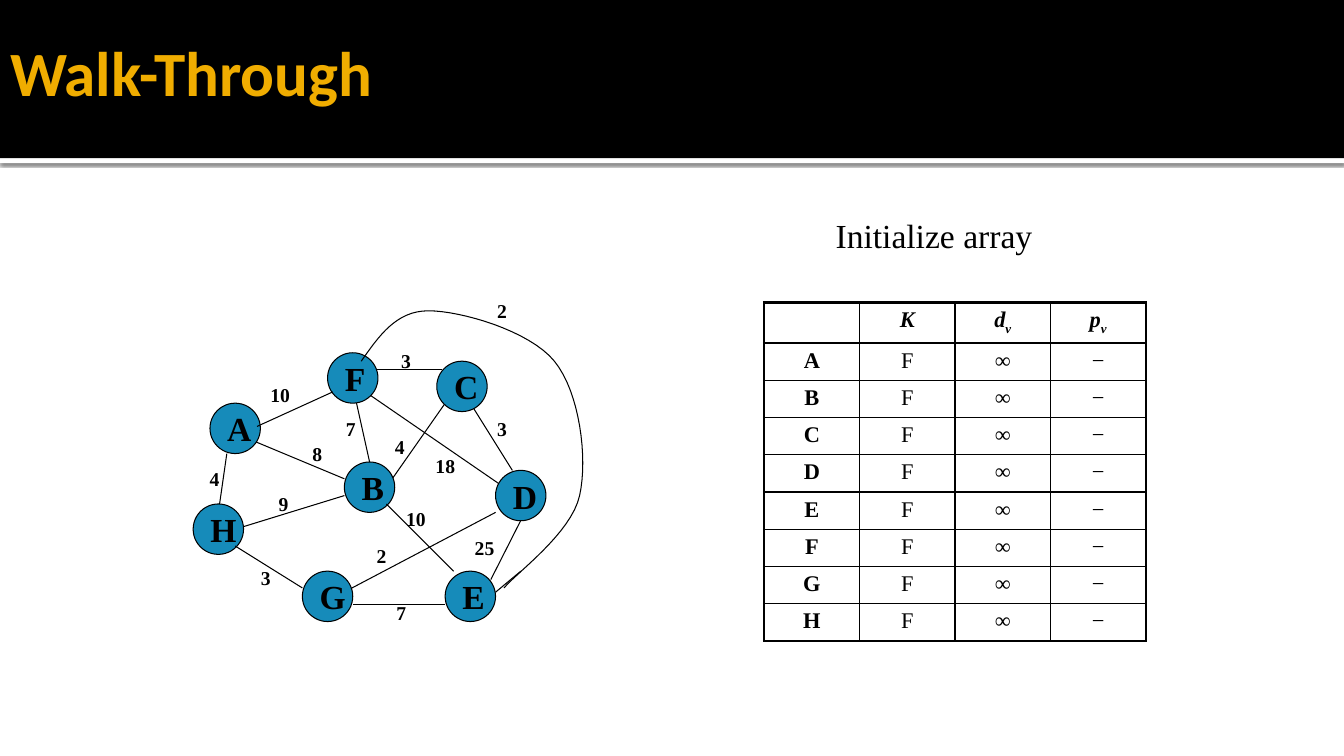
from dataclasses import dataclass
from typing import NamedTuple

from lxml.etree import SubElement
from pptx import Presentation
from pptx.dml.color import RGBColor
from pptx.enum.shapes import MSO_CONNECTOR, MSO_SHAPE
from pptx.enum.text import MSO_ANCHOR, MSO_AUTO_SIZE, PP_ALIGN
from pptx.oxml.ns import qn
from pptx.util import Pt


@dataclass(frozen=True)
class Theme:
    black: RGBColor = RGBColor(0x00, 0x00, 0x00)
    white: RGBColor = RGBColor(0xFF, 0xFF, 0xFF)
    gold: RGBColor = RGBColor(0xF0, 0xAD, 0x00)
    node: RGBColor = RGBColor(0x16, 0x8B, 0xBA)
    heading_font: str = "Calibri"
    body_font: str = "Times New Roman"
    title_size: float = 45
    body_size: float = 24
    cell_size: float = 16
    weight_size: float = 14
    edge_width: float = 0.75
    inner_border: float = 1
    outer_border: float = 2.25


class Box(NamedTuple):
    left: float
    top: float
    width: float
    height: float

    def inside(self, left, top, width, height):
        """Return the Pt lengths of a part placed relative to this box."""
        return Pt(self.left + left), Pt(self.top + top), Pt(width), Pt(height)

    def point(self, x, y):
        return Pt(self.left + x), Pt(self.top + y)


THEME = Theme()
NODE_SIZE = 36
NODES = {"A": (12, 78), "H": (0, 150), "B": (108, 120), "F": (96, 42),
         "E": (180, 198), "D": (216, 126), "C": (174, 48), "G": (78, 198)}
# Each edge: start, end, weight, place of the weight
EDGES_BEHIND_NODES = [
    ((243, 144), (212.6, 204), "25", (194, 169.4)),
    ((114, 66), (126, 120), "7", (102, 84)),
    ((138, 138), (180, 78), "4", (137, 97.4)),
    ((222, 138), (126, 72), "18", (166, 111)),
    ((30, 168), (108, 144), "9", (54, 138)),
    ((102, 216), (216, 156), "2", (124, 175)),
    ((18, 156), (24, 114), "4", (4.6, 120)),
    ((36, 102), (108, 132), "8", (78, 102)),
    ((130, 54), (177.4, 54), "3", (141.4, 36)),
    ((198, 78), (228, 126), "3", (210, 84)),
]
EDGES_OVER_NODES = [
    ((138, 150), (186, 198), "10", (145, 148.6)),
    ((180, 222), (114, 222), "7", (138, 216)),
    ((78, 210), (30, 180), "3", (41.3, 191)),
    ((45.6, 94.6), (99.6, 70), "10", (48, 60)),
    ((234, 198), (216, 213), "2", (210, 0)),
]
ARC_START = (120, 48)
ARC_CURVES = [((132.7, 30), (145, 12), (168, 12)),
              ((191, 12), (240, 26), (258, 48)),
              ((276, 70), (282, 117), (276, 144)),
              ((270, 171), (231, 199), (222, 210))]
CURVE_STEPS = 16


def write_text(para, text, size, font=THEME.body_font, color=THEME.black,
               bold=False, italic=False, subscript=False, align=PP_ALIGN.LEFT):
    para.alignment = align
    span = para.add_run()
    span.text = text
    span.font.size = Pt(size)
    span.font.name = font
    span.font.color.rgb = color
    span.font.bold = bold
    span.font.italic = italic
    if subscript:
        span.font._element.set("baseline", "-25000")


def add_text(shapes, place, text, size, **text_format):
    frame = shapes.add_textbox(*place).text_frame
    frame.word_wrap = True
    write_text(frame.paragraphs[0], text, size, **text_format)


def add_band(slide, place, color):
    """Add a plain band behind the title."""
    band = slide.shapes.add_shape(MSO_SHAPE.RECTANGLE, *place)
    band.fill.solid()
    band.fill.fore_color.rgb = color
    band.line.fill.background()
    band.shadow.inherit = False
    slide.shapes.title.element.addprevious(band.element)
    return band


def add_soft_shadow(shape):
    effects = shape.element.spPr.find(qn("a:effectLst"))
    shadow = SubElement(effects, qn("a:outerShdw"), blurRad=str(Pt(2.5)),
                        dist=str(Pt(0.8)), dir="5400000", rotWithShape="0")
    color = SubElement(shadow, qn("a:srgbClr"), val=str(THEME.black))
    SubElement(color, qn("a:alpha"), val="60000")


def add_header(slide, box):
    rule = add_band(slide, box.inside(0, box.height, box.width, 3.6), THEME.white)
    add_soft_shadow(rule)
    add_band(slide, box.inside(0, 0, box.width, box.height), THEME.black)
    title = slide.shapes.title
    title.left, title.top, title.width, title.height = box.inside(0, 6, 786, 90)
    frame = title.text_frame
    frame.auto_size = MSO_AUTO_SIZE.NONE
    frame.vertical_anchor = MSO_ANCHOR.MIDDLE
    frame.margin_left = Pt(7.2)
    frame.margin_top = frame.margin_right = frame.margin_bottom = Pt(3.6)
    write_text(frame.paragraphs[0], "Walk-Through", THEME.title_size,
               font=THEME.heading_font, color=THEME.gold, bold=True)


def style_line(line):
    line.color.rgb = THEME.black
    line.width = Pt(THEME.edge_width)


def add_edges(shapes, box, edges):
    for start, end, weight, (left, top) in edges:
        edge = shapes.add_connector(MSO_CONNECTOR.STRAIGHT,
                                    *box.point(*start), *box.point(*end))
        style_line(edge.line)
        SubElement(edge._element.spPr, qn("a:effectLst"))
        width = 24 if len(weight) == 1 else 37
        add_text(shapes, box.inside(left, top, width, 24), weight,
                 THEME.weight_size, bold=True)


def add_node(shapes, box, name, left, top):
    node = shapes.add_shape(MSO_SHAPE.OVAL, *box.inside(left, top, NODE_SIZE, NODE_SIZE))
    node.fill.solid()
    node.fill.fore_color.rgb = THEME.node
    style_line(node.line)
    node.shadow.inherit = False
    frame = node.text_frame
    frame.word_wrap = False
    frame.vertical_anchor = MSO_ANCHOR.MIDDLE
    write_text(frame.paragraphs[0], name, THEME.body_size, bold=True)


def curve_points(start, curves):
    """Yield points along a chain of cubic curves."""
    for first, second, end in curves:
        for step in range(1, CURVE_STEPS + 1):
            t = step / CURVE_STEPS
            yield tuple((1 - t) ** 3 * a + 3 * (1 - t) ** 2 * t * b
                        + 3 * (1 - t) * t ** 2 * c + t ** 3 * d
                        for a, b, c, d in zip(start, first, second, end))
        start = end


def add_arc(shapes, box):
    builder = shapes.build_freeform(*box.point(*ARC_START))
    points = [box.point(*point) for point in curve_points(ARC_START, ARC_CURVES)]
    builder.add_line_segments(points, close=False)
    arc = builder.convert_to_shape()
    arc.fill.background()
    style_line(arc.line)
    arc.shadow.inherit = False


def add_graph(slide, box):
    shapes = slide.shapes.add_group_shape().shapes
    add_edges(shapes, box, EDGES_BEHIND_NODES)
    for name, (left, top) in NODES.items():
        add_node(shapes, box, name, left, top)
    add_arc(shapes, box)
    add_edges(shapes, box, EDGES_OVER_NODES)


def set_borders(cell, outer_sides):
    properties = cell._tc.get_or_add_tcPr()
    for side in "LRTB":
        width = THEME.outer_border if side in outer_sides else THEME.inner_border
        line = SubElement(properties, qn(f"a:ln{side}"), w=str(Pt(width)))
        fill = SubElement(line, qn("a:solidFill"))
        SubElement(fill, qn("a:srgbClr"), val=str(THEME.black))


def add_array(slide, box):
    """Add the caption and the table of K, d and p for every vertex."""
    add_text(slide.shapes, box.inside(44, -66, 214.6, 36), "Initialize array", THEME.body_size)
    rows = [["", "K", "dv", "pv"]] + [[name, "F", "∞", "−"] for name in sorted(NODES)]
    last_row, last_column = len(rows) - 1, len(rows[0]) - 1
    place = box.inside(0, 0, box.width, box.height)
    table = slide.shapes.add_table(len(rows), len(rows[0]), *place).table
    table.first_row = table.horz_banding = False
    for row, values in enumerate(rows):
        for column, value in enumerate(values):
            cell = table.cell(row, column)
            set_borders(cell, "L" * (column == 0) + "R" * (column == last_column)
                        + "T" * (row == 0) + "B" * (row == last_row))
            cell.fill.background()
            for index, letter in enumerate(value):
                write_text(cell.text_frame.paragraphs[0], letter, THEME.cell_size,
                           bold=row == 0 or column == 0, italic=row == 0,
                           subscript=index > 0, align=PP_ALIGN.CENTER)


def main():
    deck = Presentation()
    deck.slide_width, deck.slide_height = Pt(960), Pt(540)
    page = deck.slides.add_slide(deck.slide_layouts[5])
    add_header(page, Box(0, 0, 960, 113))
    add_array(page, Box(545.8, 216, 272.8, 239.4))
    add_graph(page, Box(138, 210, 282, 234))
    deck.save("out.pptx")


if __name__ == "__main__":
    main()
